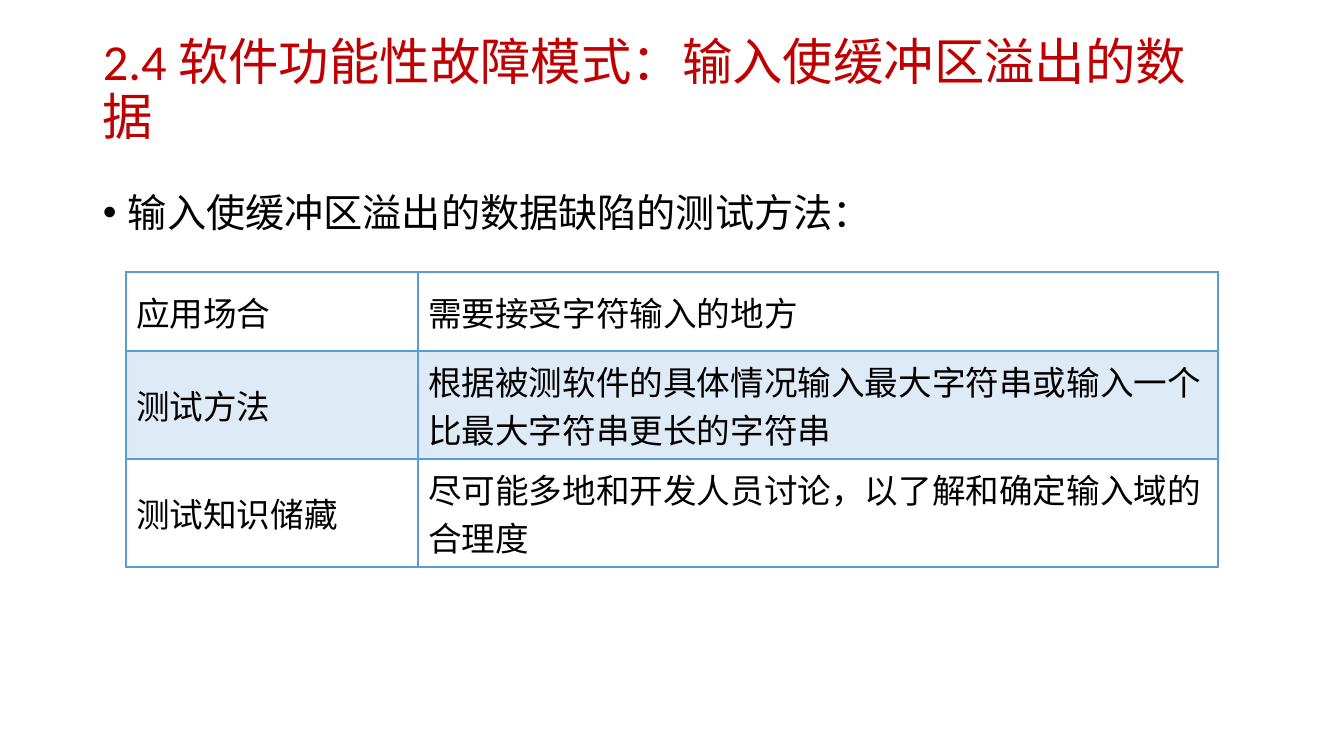
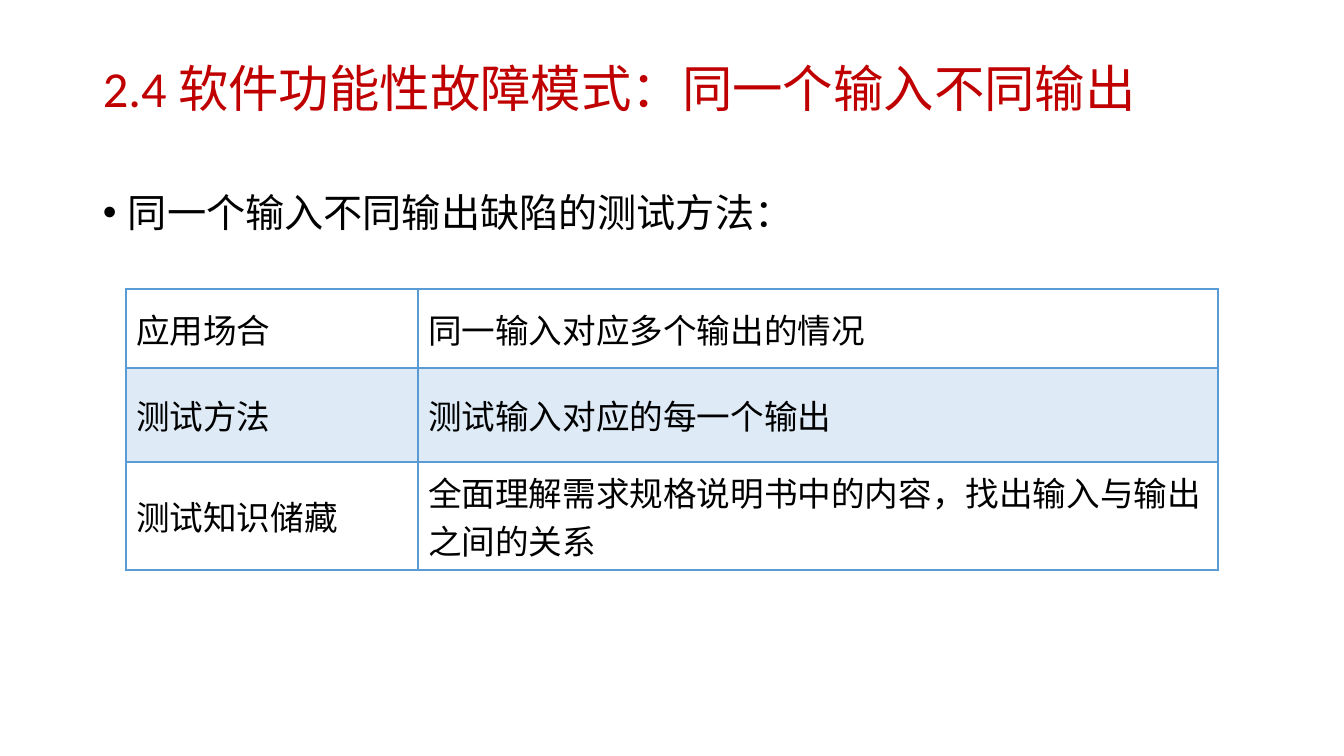
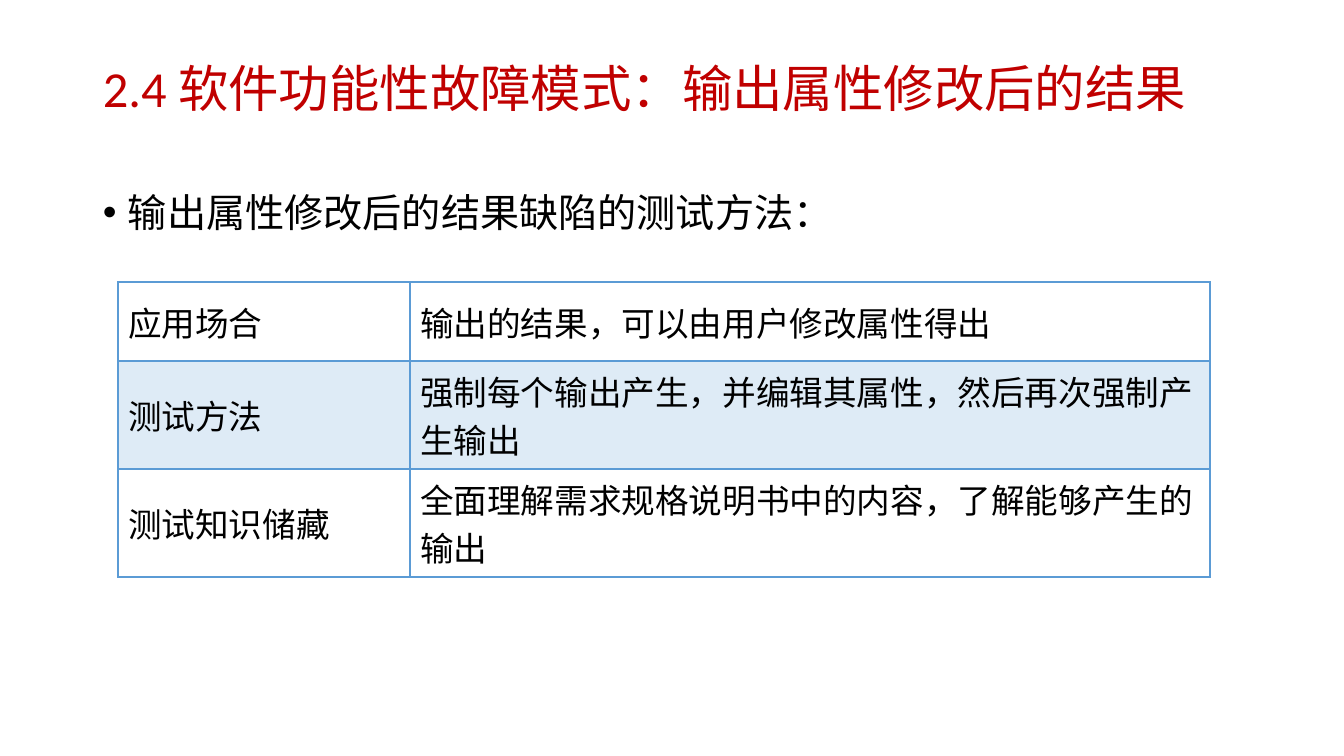
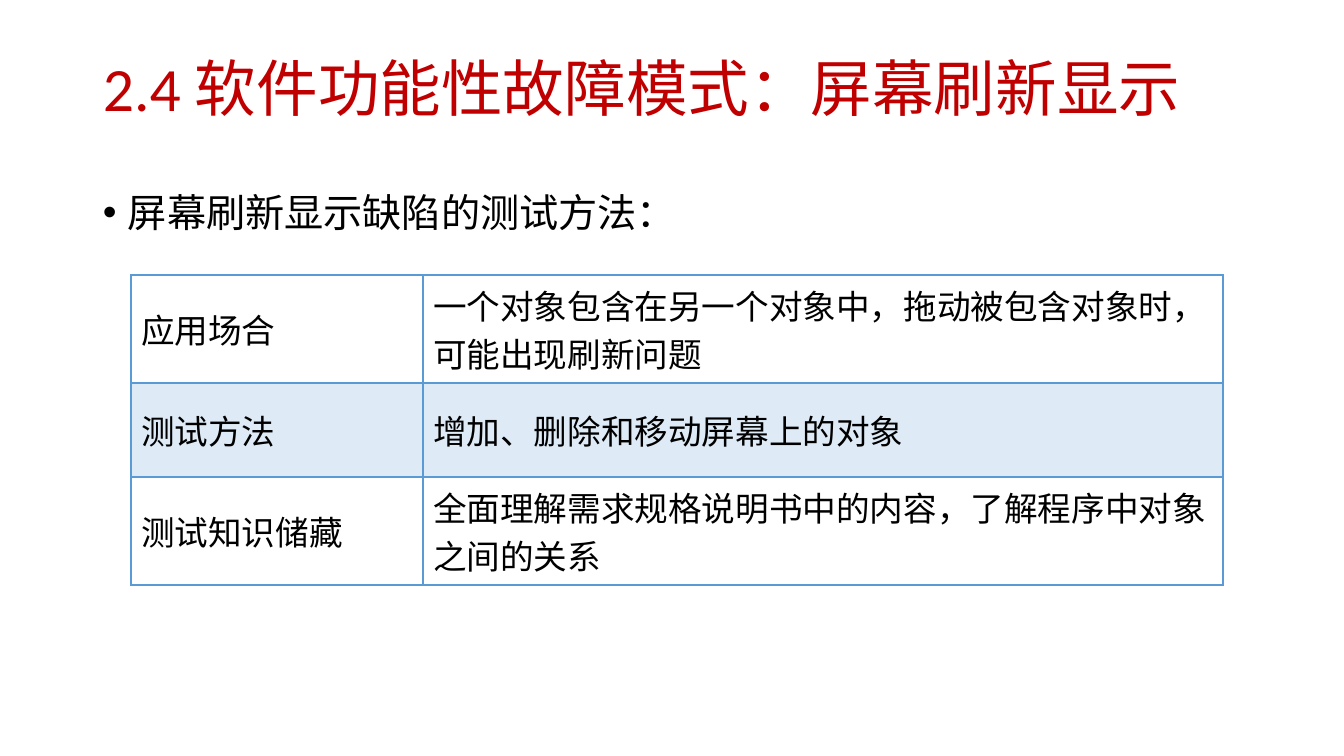
from lxml import etree
from pptx import Presentation
from pptx.dml.color import RGBColor
from pptx.enum.text import MSO_ANCHOR
from pptx.oxml.ns import qn
from pptx.util import Emu, Pt

MIDDLE = MSO_ANCHOR.MIDDLE
RED = RGBColor(0xC0, 0x00, 0x00)
BLACK = RGBColor(0x00, 0x00, 0x00)
BLUE = RGBColor(0x5B, 0x9B, 0xD5)
LATIN_FONT = "Calibri"
CJK_FONT = "Noto Sans CJK SC"
EMU_PER_PX = 914400 / 100.8
BULLET_INDENT = 25
COLUMN_WIDTHS = (292, 800)
TWO_LINES = 108
ROW_LABELS = ("应用场合", "测试方法", "测试知识储藏")

TOPICS = [
    ("输入使缓冲区溢出的数据", 36, (126, 272), (79, TWO_LINES, TWO_LINES), (
        "需要接受字符输入的地方",
        "根据被测软件的具体情况输入最大字符串或输入一个比最大字符串更长的字符串",
        "尽可能多地和开发人员讨论，以了解和确定输入域的合理度")),
    ("同一个输入不同输出", 36, (126, 289), (79, 94, TWO_LINES), (
        "同一输入对应多个输出的情况",
        "测试输入对应的每一个输出",
        "全面理解需求规格说明书中的内容，找出输入与输出之间的关系")),
    ("输出属性修改后的结果", 36, (118, 282), (79, TWO_LINES, TWO_LINES), (
        "输出的结果，可以由用户修改属性得出",
        "强制每个输出产生，并编辑其属性，然后再次强制产生输出",
        "全面理解需求规格说明书中的内容，了解能够产生的输出")),
    ("屏幕刷新显示", 44, (131, 275), (TWO_LINES, 94, TWO_LINES), (
        "一个对象包含在另一个对象中，拖动被包含对象时，可能出现刷新问题",
        "增加、删除和移动屏幕上的对象",
        "全面理解需求规格说明书中的内容，了解程序中对象之间的关系")),
]


def px(length):
    return Emu(round(length * EMU_PER_PX))


def write(frame, text, size, font, color):
    frame.text = text
    frame.word_wrap = True
    run = frame.paragraphs[0].runs[0]
    run.font.size = Pt(size)
    run.font.name = font
    run.font.color.rgb = color
    etree.SubElement(run.font._element, qn("a:ea"), typeface=CJK_FONT)
    return frame.paragraphs[0]


prs = Presentation()
prs.slide_width = px(1344)
prs.slide_height = px(756)

for topic, title_size, (table_left, table_top), row_heights, answers in TOPICS:
    slide = prs.slides.add_slide(prs.slide_layouts[6])

    title = slide.shapes.add_textbox(px(93), px(40), px(1159), px(103)).text_frame
    title.vertical_anchor = MIDDLE
    title.margin_right = px(20)
    heading = write(title, f"2.4 软件功能性故障模式：{topic}", title_size, LATIN_FONT, RED)
    heading.line_spacing = 0.9

    body = slide.shapes.add_textbox(px(93), px(169), px(1159), px(511)).text_frame
    body.margin_top = px(19)
    lead = write(body, f"{topic}缺陷的测试方法：", 28, CJK_FONT, BLACK)
    lead_properties = lead._p.get_or_add_pPr()
    lead_properties.set("marL", str(px(BULLET_INDENT)))
    lead_properties.set("indent", str(-px(BULLET_INDENT)))
    etree.SubElement(lead_properties, qn("a:buFont"), typeface="Arial")
    etree.SubElement(lead_properties, qn("a:buChar"), char="•")

    methods = slide.shapes.add_table(
        len(ROW_LABELS), len(COLUMN_WIDTHS), px(table_left), px(table_top),
        px(sum(COLUMN_WIDTHS)), px(sum(row_heights))).table
    methods.first_row = False
    methods.horz_banding = False
    for column, width in zip(methods.columns, COLUMN_WIDTHS):
        column.width = px(width)
    for row, height in zip(methods.rows, row_heights):
        row.height = px(height)

    for row_index, texts in enumerate(zip(ROW_LABELS, answers)):
        for column_index, text in enumerate(texts):
            cell = methods.cell(row_index, column_index)
            cell.vertical_anchor = MIDDLE
            write(cell.text_frame, text, 24, CJK_FONT, BLACK)
            cell_properties = cell._tc.get_or_add_tcPr()
            if row_index == 1:
                cell.fill.solid()
                cell.fill.fore_color.rgb = BLUE
                tint = cell_properties.find(".//" + qn("a:srgbClr"))
                etree.SubElement(tint, qn("a:alpha"), val="20000")
            else:
                cell.fill.background()
            border_widths = {"lnL": 1, "lnR": 1,
                             "lnT": 2 if row_index == 1 else 1,
                             "lnB": 2 if row_index == 0 else 1}
            for position, (side, width) in enumerate(border_widths.items()):
                border = etree.Element(qn(f"a:{side}"), w=str(Pt(width)))
                stroke = etree.SubElement(border, qn("a:solidFill"))
                etree.SubElement(stroke, qn("a:srgbClr"), val=str(BLUE))
                cell_properties.insert(position, border)

prs.save("out.pptx")
